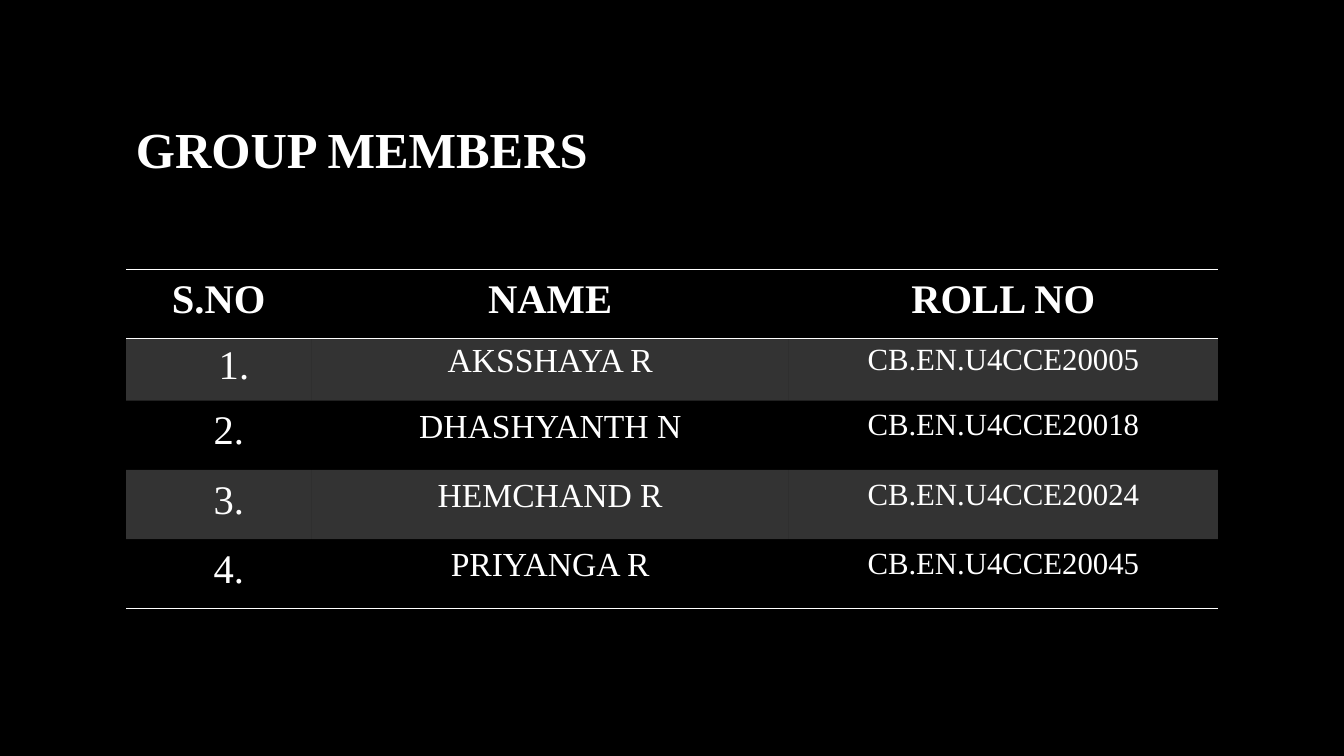
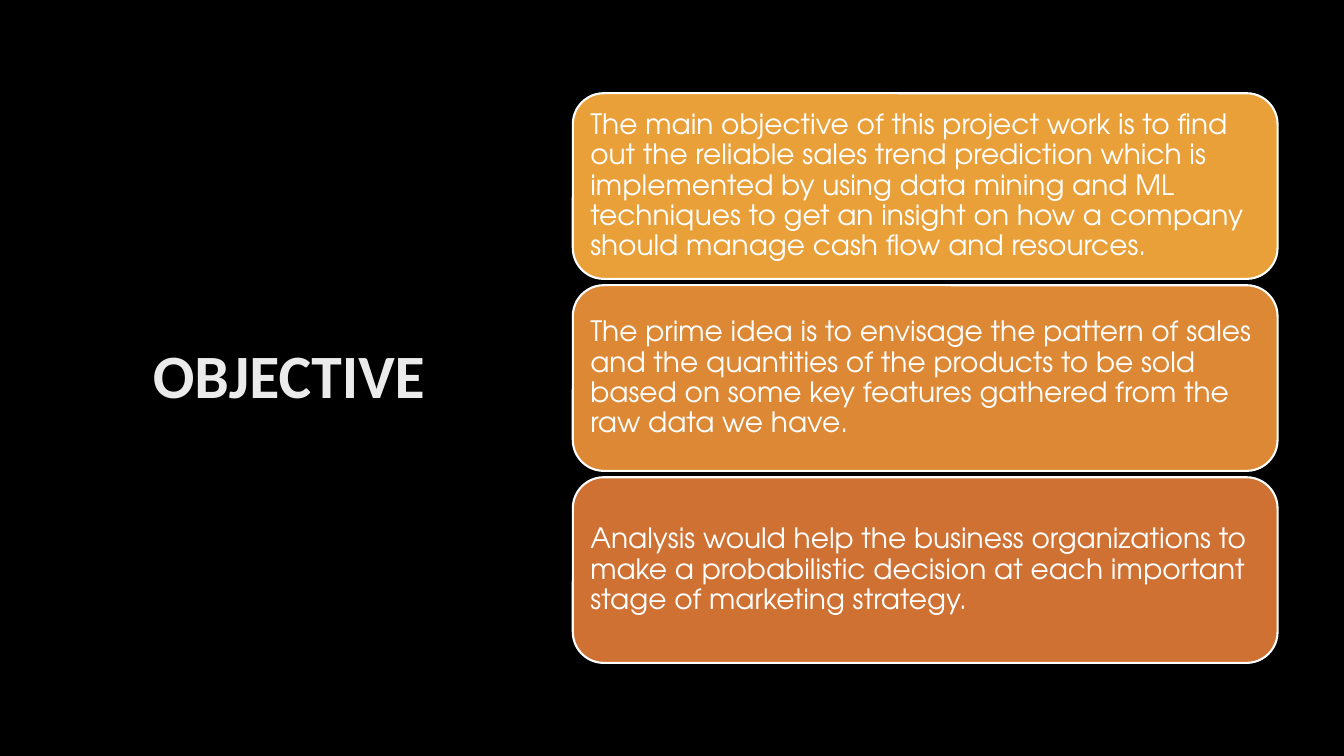
import pptx
import pptx.dml.color
import pptx.enum.shapes
import pptx.enum.text
import pptx.oxml
import pptx.oxml.ns
import pptx.util
from dataclasses import dataclass
from typing import Any, NamedTuple

ALIGN = pptx.enum.text.PP_ALIGN
ANCHOR = pptx.enum.text.MSO_ANCHOR
NO_TABLE_STYLE = "{2D5ABB26-0587-4C30-8999-92F81FD0307C}"
COLUMNS, ROWS = 160, 90
SLIDE_WIDTH = pptx.util.Inches(13.333)
SLIDE_HEIGHT = pptx.util.Inches(7.5)


@dataclass(frozen=True)
class Theme:
    background: str = "000000"
    text: str = "FFFFFF"
    soft_text: str = "EBEBEB"
    band_opacity: int = 20
    serif: str = "Times New Roman"
    sans: str = "Calibri"
    rounded: str = "TeX Gyre Adventor"
    members_title: int = 36
    objective_title: int = 44
    header: int = 29
    name: int = 24
    roll: int = 22
    body: int = 20


THEME = Theme()


class Area(NamedTuple):
    column: float
    row: float
    columns: float
    rows: float


class Padding(NamedTuple):
    side: float
    end: float


class Member(NamedTuple):
    number: str
    name: str
    roll: str
    indent: float
    padding: Padding
    rows: float


class Objective(NamedTuple):
    text: str
    fill: str


NORMAL = Padding(1.9, 0.95)
TIGHT = Padding(1.1, 0.5)
TABLE_AREA = Area(15, 32.1, 130, 40.31)
TABLE_COLUMNS = (22.1, 56.8, 51.1)
FULL_ROW, SHORT_ROW = 8.24, 7.35
HEADINGS = ("S.NO", "NAME", "ROLL NO")
MEMBERS = (
    Member("1.", "AKSSHAYA R", "CB.EN.U4CCE20005", 3.6, TIGHT, SHORT_ROW),
    Member("2.", "DHASHYANTH N", "CB.EN.U4CCE20018", 2.4, NORMAL, FULL_ROW),
    Member("3.", "HEMCHAND R", "CB.EN.U4CCE20024", 2.4, NORMAL, FULL_ROW),
    Member("4.", "PRIYANGA R", "CB.EN.U4CCE20045", 2.4, NORMAL, FULL_ROW),
)

FIRST_CARD = Area(68.2, 11.1, 83.9, 22.1)
CARD_GAP = 0.76
OBJECTIVES = (
    Objective(
        "The main objective of this project work is to find out the reliable sales "
        "trend prediction which is implemented by using data mining and ML techniques "
        "to get an insight on how a company should manage cash flow and resources.",
        "E9A039",
    ),
    Objective(
        "The prime idea is to envisage the pattern of sales and the quantities of the "
        "products to be sold based on some key features gathered from the raw data we have.",
        "DD8835",
    ),
    Objective(
        "Analysis would help the business organizations to make a probabilistic "
        "decision at each important stage of marketing strategy.",
        "CF7133",
    ),
)


def across(columns: float) -> int:
    return round(SLIDE_WIDTH * columns / COLUMNS)


def down(rows: float) -> int:
    return round(SLIDE_HEIGHT * rows / ROWS)


def place(area: Area) -> tuple[int, int, int, int]:
    return across(area.column), down(area.row), across(area.columns), down(area.rows)


def rgb(value: str) -> pptx.dml.color.RGBColor:
    return pptx.dml.color.RGBColor.from_string(value)


def write(frame: Any, text: str, *, size: int, font: str, color: str = THEME.text,
          bold: bool = False, align: Any = ALIGN.LEFT, line_spacing: float = 1.0,
          space_after: float = 0) -> None:
    frame.word_wrap = True
    paragraph = frame.paragraphs[0]
    paragraph.alignment = align
    paragraph.line_spacing = line_spacing
    paragraph.space_after = pptx.util.Pt(space_after)
    run = paragraph.add_run()
    run.text = text
    run.font.size = pptx.util.Pt(size)
    run.font.name = font
    run.font.bold = bold
    run.font.color.rgb = rgb(color)


def add_slide(deck: Any) -> Any:
    slide = deck.slides.add_slide(deck.slide_layouts[6])
    slide.background.fill.solid()
    slide.background.fill.fore_color.rgb = rgb(THEME.background)
    return slide


def add_title(slide: Any, text: str, area: Area, **style: Any) -> None:
    frame = slide.shapes.add_textbox(*place(area)).text_frame
    frame.vertical_anchor = ANCHOR.MIDDLE
    write(frame, text, bold=True, **style)


def add_rules(cell: Any, sides: str) -> None:
    properties = cell._tc.get_or_add_tcPr()
    namespace = pptx.oxml.ns.nsdecls("a")
    for position, side in enumerate("LRTB"):
        paint = (f'<a:solidFill><a:srgbClr val="{THEME.text}"/></a:solidFill>'
                 if side in sides else "<a:noFill/>")
        properties.insert(position, pptx.oxml.parse_xml(
            f'<a:ln{side} {namespace} w="12700">{paint}</a:ln{side}>'))


def fill_cell(cell: Any, banded: bool) -> None:
    if not banded:
        cell.fill.background()
        return
    cell.fill.solid()
    cell.fill.fore_color.rgb = rgb(THEME.text)
    color = cell._tc.tcPr.find(".//" + pptx.oxml.ns.qn("a:srgbClr"))
    color.append(pptx.oxml.parse_xml(
        f'<a:alpha {pptx.oxml.ns.nsdecls("a")} val="{THEME.band_opacity * 1000}"/>'))


def format_cell(cell: Any, text: str, size: int, padding: Padding, *, indent: float = 0,
                bold: bool = False, banded: bool = False, rules: str = "") -> None:
    cell.margin_left = across(padding.side + indent)
    cell.margin_right = across(padding.side)
    cell.margin_top = cell.margin_bottom = down(padding.end)
    fill_cell(cell, banded)
    add_rules(cell, rules)
    write(cell.text_frame, text, size=size, font=THEME.serif, bold=bold, align=ALIGN.CENTER)


def add_members_table(slide: Any) -> None:
    table = slide.shapes.add_table(
        len(MEMBERS) + 1, len(HEADINGS), *place(TABLE_AREA)).table
    table.horz_banding = table.first_row = False
    table._tbl.tblPr.find(pptx.oxml.ns.qn("a:tableStyleId")).text = NO_TABLE_STYLE
    for column, width in zip(table.columns, TABLE_COLUMNS):
        column.width = across(width)
    table.rows[0].height = down(FULL_ROW)
    for index, heading in enumerate(HEADINGS):
        format_cell(table.cell(0, index), heading, THEME.header, NORMAL, bold=True, rules="TB")
    for row, member in enumerate(MEMBERS, start=1):
        table.rows[row].height = down(member.rows)
        entries = ((member.number, THEME.header, member.indent),
                   (member.name, THEME.name, 0), (member.roll, THEME.roll, 0))
        rules = "T" if row == 1 else "B" if row == len(MEMBERS) else ""
        for index, (text, size, indent) in enumerate(entries):
            format_cell(table.cell(row, index), text, size, member.padding,
                        indent=indent, banded=row % 2 == 1, rules=rules)


def add_objective(slide: Any, objective: Objective, area: Area) -> None:
    card = slide.shapes.add_shape(
        pptx.enum.shapes.MSO_SHAPE.ROUNDED_RECTANGLE, *place(area))
    card.shadow.inherit = False
    card.fill.solid()
    card.fill.fore_color.rgb = rgb(objective.fill)
    card.line.color.rgb = rgb(THEME.text)
    card.line.width = pptx.util.Pt(1.5)
    frame = card.text_frame
    frame.margin_left = frame.margin_right = across(1)
    frame.margin_top = frame.margin_bottom = down(1)
    frame.vertical_anchor = ANCHOR.MIDDLE
    write(frame, objective.text, size=THEME.body, font=THEME.rounded,
          line_spacing=0.9, space_after=7)


def build_members(deck: Any) -> None:
    slide = add_slide(deck)
    add_title(slide, "GROUP MEMBERS", Area(15, 8, 130, 19.3),
              size=THEME.members_title, font=THEME.serif)
    add_members_table(slide)


def build_objectives(deck: Any) -> None:
    slide = add_slide(deck)
    add_title(slide, "OBJECTIVE", Area(15.1, 12.7, 38.6, 63.5), size=THEME.objective_title,
              font=THEME.sans, color=THEME.soft_text, align=ALIGN.CENTER)
    for index, objective in enumerate(OBJECTIVES):
        row = FIRST_CARD.row + index * (FIRST_CARD.rows + CARD_GAP)
        add_objective(slide, objective, FIRST_CARD._replace(row=row))


def main() -> None:
    deck = pptx.Presentation()
    deck.slide_width, deck.slide_height = SLIDE_WIDTH, SLIDE_HEIGHT
    build_members(deck)
    build_objectives(deck)
    deck.save("out.pptx")


if __name__ == "__main__":
    main()
